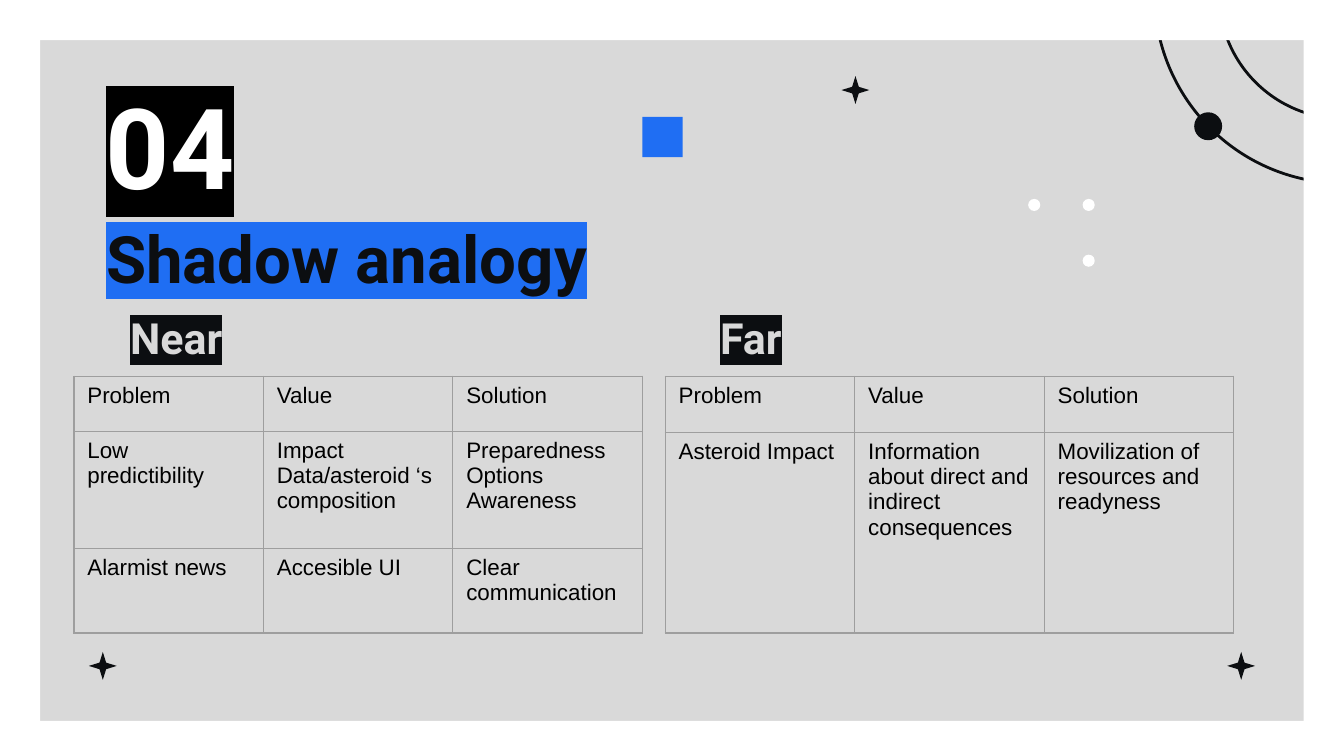
import pptx
import pptx.util
import pptx.dml.color
import pptx.enum.shapes
import pptx.enum.text
import pptx.oxml
import pptx.oxml.ns

RGBColor = pptx.dml.color.RGBColor
Shape = pptx.enum.shapes.MSO_SHAPE
Anchor = pptx.enum.text.MSO_ANCHOR

GRAY = RGBColor(0xD9, 0xD9, 0xD9)
INK = RGBColor(0x0C, 0x0E, 0x11)
BLUE = RGBColor(0x1F, 0x6E, 0xF3)
WHITE = RGBColor(0xFF, 0xFF, 0xFF)
BLACK = RGBColor(0x00, 0x00, 0x00)
BORDER = RGBColor(0x9E, 0x9E, 0x9E)

COLUMNS, ROWS = 100, 56.25
FRAME = 3
TABLE_TOP, TABLE_COLUMN = 28, 14.1

NEAR = [
    ["Problem", "Value", "Solution"],
    ["Low predictibility", "Impact Data/asteroid ‘s composition",
     "Preparedness\nOptions\nAwareness"],
    ["Alarmist news", "Accesible UI", "Clear communication"],
]
FAR = [
    ["Problem", "Value", "Solution"],
    ["Asteroid Impact", "Information about direct and indirect consequences",
     "Movilization of resources and readyness"],
]


def grid(cells):
    return pptx.util.Inches(cells / 10)


def xml_element(tag, inner="", attributes=""):
    namespace = pptx.oxml.ns.nsdecls("a")
    return pptx.oxml.parse_xml(f"<a:{tag} {namespace} {attributes}>{inner}</a:{tag}>")


def add_figure(page, kind, left, top, width, height, fill=None):
    figure = page.shapes.add_shape(kind, *map(grid, (left, top, width, height)))
    figure.shadow.inherit = False
    if fill is None:
        figure.fill.background()
        figure.line.color.rgb = INK
        figure.line.width = pptx.util.Pt(1.5)
    else:
        figure.fill.solid()
        figure.fill.fore_color.rgb = fill
        figure.line.fill.background()


def add_circle(page, x, y, radius, fill=None):
    add_figure(page, Shape.OVAL, x - radius, y - radius, 2 * radius, 2 * radius, fill)


def add_sparkle(page, x, y, long=1.04, short=0.32):
    for across, down in ((short, long), (long, short)):
        corners = [(x, y - down), (x - across, y), (x, y + down), (x + across, y)]
        points = [(grid(a), grid(b)) for a, b in corners]
        builder = page.shapes.build_freeform(*points[0])
        builder.add_line_segments(points[1:], close=True)
        ray = builder.convert_to_shape()
        ray.shadow.inherit = False
        ray.fill.solid()
        ray.fill.fore_color.rgb = INK
        ray.line.fill.background()


def add_frame(page):
    for top in (0, ROWS - FRAME + 0.4):
        add_figure(page, Shape.RECTANGLE, 0, top, COLUMNS, FRAME, WHITE)
    for left in (0, COLUMNS - FRAME):
        add_figure(page, Shape.RECTANGLE, left, 0, FRAME, ROWS, WHITE)


def write_highlighted(box, place, text, size, color, highlight, anchor):
    box.left, box.top, box.width, box.height = map(grid, place)
    frame = box.text_frame
    frame.word_wrap = True
    frame.auto_size = pptx.enum.text.MSO_AUTO_SIZE.NONE
    frame.vertical_anchor = anchor
    frame.margin_left = frame.margin_right = grid(1)
    frame.margin_top = frame.margin_bottom = grid(1)
    para = frame.paragraphs[0]
    para.alignment = pptx.enum.text.PP_ALIGN.LEFT
    para.space_before = pptx.util.Pt(0)
    span = para.add_run()
    span.text = text
    span.font.size = pptx.util.Pt(size)
    span.font.bold = True
    span.font.color.rgb = color
    properties = span.font.color.rgb and span._r.get_or_add_rPr()
    properties.append(xml_element("highlight", f'<a:srgbClr val="{highlight}"/>'))
    span.font.name = "Roboto"


def add_label(page, *details):
    write_highlighted(page.shapes.add_textbox(0, 0, 0, 0), *details)


def write_cell(cell, text):
    para = cell.text_frame.paragraphs[0]
    for index, line in enumerate(text.split("\n")):
        if index:
            para.add_line_break()
        span = para.add_run()
        span.text = line
        span.font.size = pptx.util.Pt(12)
        span.font.name = "Arial"
        span.font.color.rgb = BLACK
    properties = cell._tc.get_or_add_tcPr()
    for side in ("lnL", "lnR", "lnT", "lnB"):
        fill = f'<a:solidFill><a:srgbClr val="{BORDER}"/></a:solidFill>'
        width = pptx.util.Pt(0.75)
        properties.append(xml_element(side, fill, f'w="{width}"'))
    cell.fill.background()


def add_grid_table(page, left, heights, rows):
    count = len(rows[0])
    table = page.shapes.add_table(
        len(rows), count, grid(left), grid(TABLE_TOP),
        grid(count * TABLE_COLUMN), grid(sum(heights))).table
    table.first_row = table.horz_banding = False
    for column in table.columns:
        column.width = grid(TABLE_COLUMN)
    for row, height, texts in zip(table.rows, heights, rows):
        row.height = grid(height)
        for cell, text in zip(row.cells, texts):
            write_cell(cell, text)


def main():
    deck = pptx.Presentation()
    deck.slide_width, deck.slide_height = grid(COLUMNS), grid(ROWS)
    page = deck.slides.add_slide(deck.slide_layouts[5])
    page.background.fill.solid()
    page.background.fill.fore_color.rgb = GRAY

    for radius in (14.1, 9.3):
        add_circle(page, 100, -0.45, radius)
    for x, y in ((92.35, 49.55), (63.65, 6.7), (7.65, 49.55)):
        add_sparkle(page, x, y)
    add_circle(page, 89.9, 9.4, 1.04, INK)
    add_frame(page)
    for x, y in ((76.95, 15.25), (81, 15.25), (81, 19.4)):
        add_circle(page, x, y, 0.45, WHITE)
    add_figure(page, Shape.RECTANGLE, 47.8, 8.7, 3, 3, BLUE)

    write_highlighted(page.shapes.title, (6.9, 15.2, 42.3, 13.9),
                      "Shadow analogy", 35, INK, BLUE, Anchor.TOP)
    add_label(page, (6.9, 0, 28.6, 21.6), "04", 60, WHITE, BLACK, Anchor.MIDDLE)
    for left, text in ((8.7, "Near"), (52.6, "Far")):
        add_label(page, (left, 18.3, 26.5, 9.7), text, 23, GRAY, INK, Anchor.BOTTOM)

    add_grid_table(page, 5.5, (4.1, 8.7, 6.3), NEAR)
    add_grid_table(page, 49.5, (4.2, 14.9), FAR)
    deck.save("out.pptx")


if __name__ == "__main__":
    main()
